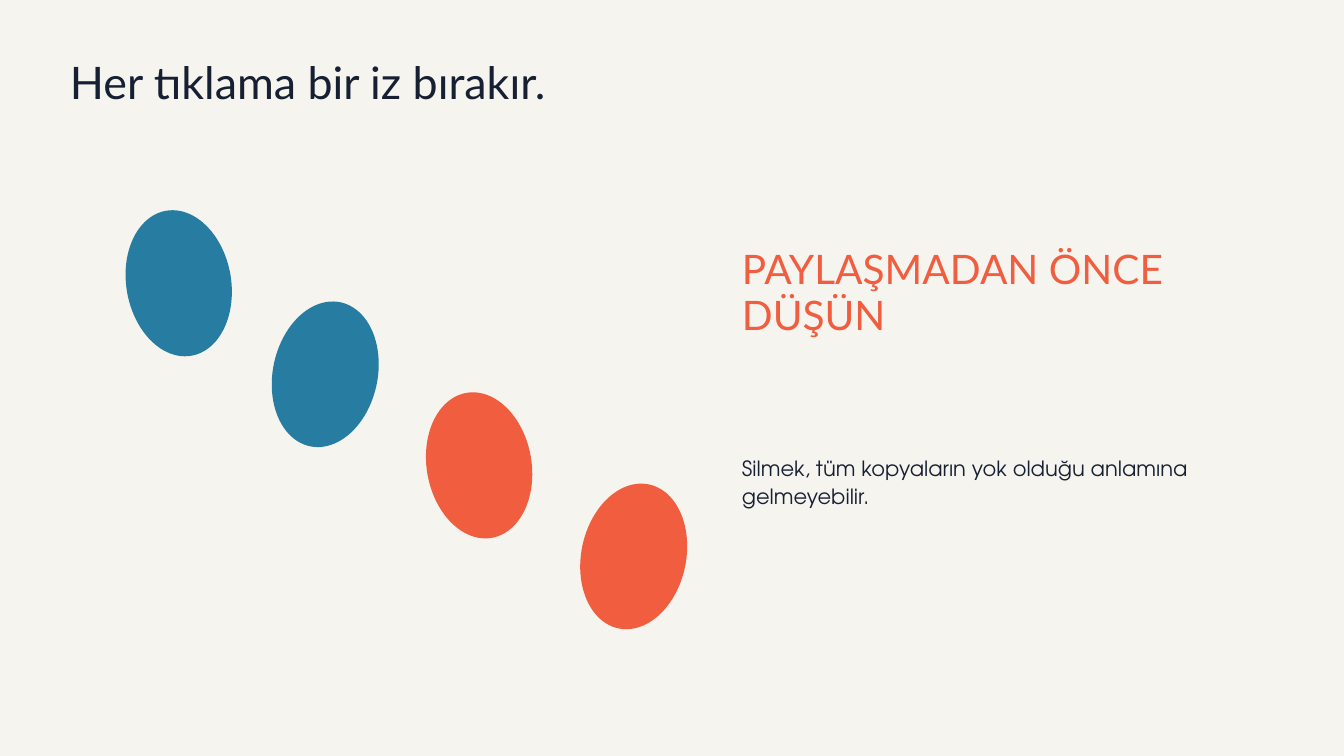
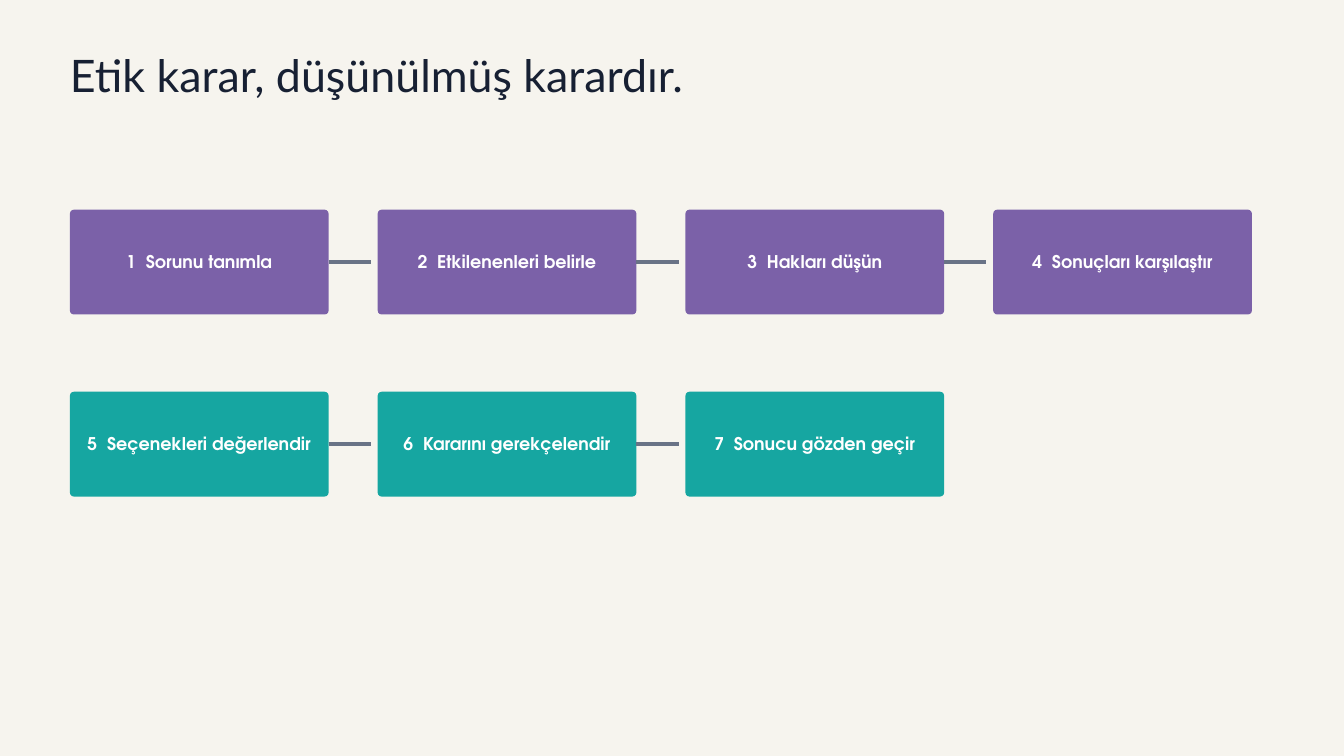
from dataclasses import dataclass

from lxml.etree import SubElement
from pptx import Presentation
from pptx.dml.color import RGBColor
from pptx.enum.shapes import MSO_CONNECTOR, MSO_SHAPE
from pptx.enum.text import MSO_ANCHOR, MSO_AUTO_SIZE, PP_ALIGN
from pptx.oxml.ns import qn
from pptx.shapes.autoshape import Shape
from pptx.slide import Slide
from pptx.text.text import TextFrame
from pptx.util import Inches, Pt


@dataclass(frozen=True)
class TextStyle:
    font: str
    size: float
    leading: float
    color: str
    bold: bool = False


@dataclass(frozen=True)
class Theme:
    paper: str = "F6F4EE"
    blue: str = "277DA1"
    coral: str = "F05D3F"
    purple: str = "7B61A8"
    teal: str = "16A6A1"
    grey: str = "697386"
    title: TextStyle = TextStyle("Lato", 48, 51.8, "172033")
    callout: TextStyle = TextStyle("Lato", 43.5, 48.7, "F05D3F")
    body: TextStyle = TextStyle("TeX Gyre Adventor", 22.5, 30.4, "172033")
    step: TextStyle = TextStyle("TeX Gyre Adventor", 18.8, 21.6, "FFFFFF", True)
    number_gap: float = 5.2
    margin: float = 1.04
    top_row: float = 3.12


@dataclass(frozen=True)
class Footprint:
    left: float
    angle: float
    color: str


@dataclass(frozen=True)
class StepRow:
    top: float
    color: str
    labels: tuple[str, ...]


THEME = Theme()

FOOTPRINT_WIDTH, FOOTPRINT_HEIGHT, FOOTPRINT_DROP = 1.56, 2.19, 1.355
FOOTPRINTS = (
    Footprint(1.88, -10, THEME.blue),
    Footprint(4.06, 12, THEME.blue),
    Footprint(6.35, -10, THEME.coral),
    Footprint(8.65, 12, THEME.coral),
)

STEP_WIDTH, STEP_HEIGHT, STEP_GAP, STEP_RADIUS = 3.85, 1.56, 0.73, 0.06
LINK_LENGTH = 0.63
STEP_ROWS = (
    StepRow(THEME.top_row, THEME.purple, (
        "Sorunu tanımla", "Etkilenenleri belirle",
        "Hakları düşün", "Sonuçları karşılaştır")),
    StepRow(5.83, THEME.teal, (
        "Seçenekleri değerlendir", "Kararını gerekçelendir",
        "Sonucu gözden geçir")),
)


def write(frame: TextFrame, text: str, *, style: TextStyle, number: int | None = None,
          align: PP_ALIGN = PP_ALIGN.LEFT, anchor: MSO_ANCHOR = MSO_ANCHOR.TOP,
          inset: float = 0) -> None:
    """Fill a frame, one paragraph per line, with an optional leading number."""
    frame.word_wrap = True
    frame.vertical_anchor = anchor
    frame.margin_left = frame.margin_right = Inches(inset)
    frame.margin_top = frame.margin_bottom = Inches(inset)
    for index, line in enumerate(text.split("\n")):
        paragraph = frame.add_paragraph() if index else frame.paragraphs[0]
        paragraph.alignment = align
        paragraph.line_spacing = Pt(style.leading)
        parts = [line] if number is None else [str(number), " ", line]
        for part in parts:
            run = paragraph.add_run()
            run.text = part
            run.font.name = style.font
            run.font.size = Pt(style.size)
            run.font.bold = style.bold
            run.font.color.rgb = RGBColor.from_string(style.color)
            if part == " ":
                # Widen the space after the number
                run.font._element.set("spc", str(round(THEME.number_gap * 100)))


def add_text(slide: Slide, text: str, left: float, top: float, width: float,
             height: float, style: TextStyle) -> None:
    box = slide.shapes.add_textbox(Inches(left), Inches(top), Inches(width), Inches(height))
    write(box.text_frame, text, style=style)
    box.text_frame.auto_size = MSO_AUTO_SIZE.SHAPE_TO_FIT_TEXT


def add_filled(slide: Slide, preset: MSO_SHAPE, left: float, top: float,
               width: float, height: float, color: str) -> Shape:
    shape = slide.shapes.add_shape(
        preset, Inches(left), Inches(top), Inches(width), Inches(height))
    shape.shadow.inherit = False
    shape.fill.solid()
    shape.fill.fore_color.rgb = RGBColor.from_string(color)
    shape.line.fill.background()
    return shape


def add_link(slide: Slide, left: float, middle: float) -> None:
    link = slide.shapes.add_connector(
        MSO_CONNECTOR.STRAIGHT, Inches(left), Inches(middle),
        Inches(left + LINK_LENGTH), Inches(middle))
    link.line.color.rgb = RGBColor.from_string(THEME.grey)
    link.line.width = Pt(3.75)
    SubElement(link._element.spPr, qn("a:effectLst"))


def add_titled_slide(deck: Presentation, title: str, top: float, width: float) -> Slide:
    slide = deck.slides.add_slide(deck.slide_layouts[6])
    slide.background.fill.solid()
    slide.background.fill.fore_color.rgb = RGBColor.from_string(THEME.paper)
    add_text(slide, title, THEME.margin, top, width, 0.74, THEME.title)
    return slide


def add_step_row(slide: Slide, row: StepRow, first_number: int) -> None:
    for column, label in enumerate(row.labels):
        left = THEME.margin + column * (STEP_WIDTH + STEP_GAP)
        step = add_filled(slide, MSO_SHAPE.ROUNDED_RECTANGLE, left, row.top,
                          STEP_WIDTH, STEP_HEIGHT, row.color)
        step.adjustments[0] = STEP_RADIUS / STEP_HEIGHT
        write(step.text_frame, label, style=THEME.step, number=first_number + column,
              align=PP_ALIGN.CENTER, anchor=MSO_ANCHOR.MIDDLE, inset=0.06)
        if column < len(row.labels) - 1:
            add_link(slide, left + STEP_WIDTH, row.top + STEP_HEIGHT / 2)


def build_footprint_slide(deck: Presentation) -> None:
    slide = add_titled_slide(deck, "Her tıklama bir iz bırakır.", 0.9, 13.54)
    # Trail of footprints going down to the right
    for index, footprint in enumerate(FOOTPRINTS):
        oval = add_filled(slide, MSO_SHAPE.OVAL, footprint.left,
                          THEME.top_row + index * FOOTPRINT_DROP,
                          FOOTPRINT_WIDTH, FOOTPRINT_HEIGHT, footprint.color)
        oval.rotation = footprint.angle
    # Advice beside the trail
    add_text(slide, "PAYLAŞMADAN ÖNCE\nDÜŞÜN", 11.04, 3.68, 7.29, 1.35, THEME.callout)
    add_text(slide, "Silmek, tüm kopyaların yok olduğu anlamına gelmeyebilir.",
             11.04, 6.73, 7.19, 0.83, THEME.body)


def build_decision_slide(deck: Presentation) -> None:
    slide = add_titled_slide(deck, "Etik karar, düşünülmüş karardır.", 0.79, 15.62)
    # Numbering runs on from row to row
    number = 1
    for row in STEP_ROWS:
        add_step_row(slide, row, number)
        number += len(row.labels)


def main() -> None:
    deck = Presentation()
    deck.slide_width, deck.slide_height = Inches(20), Inches(11.25)
    build_footprint_slide(deck)
    build_decision_slide(deck)
    deck.save("out.pptx")


if __name__ == "__main__":
    main()
